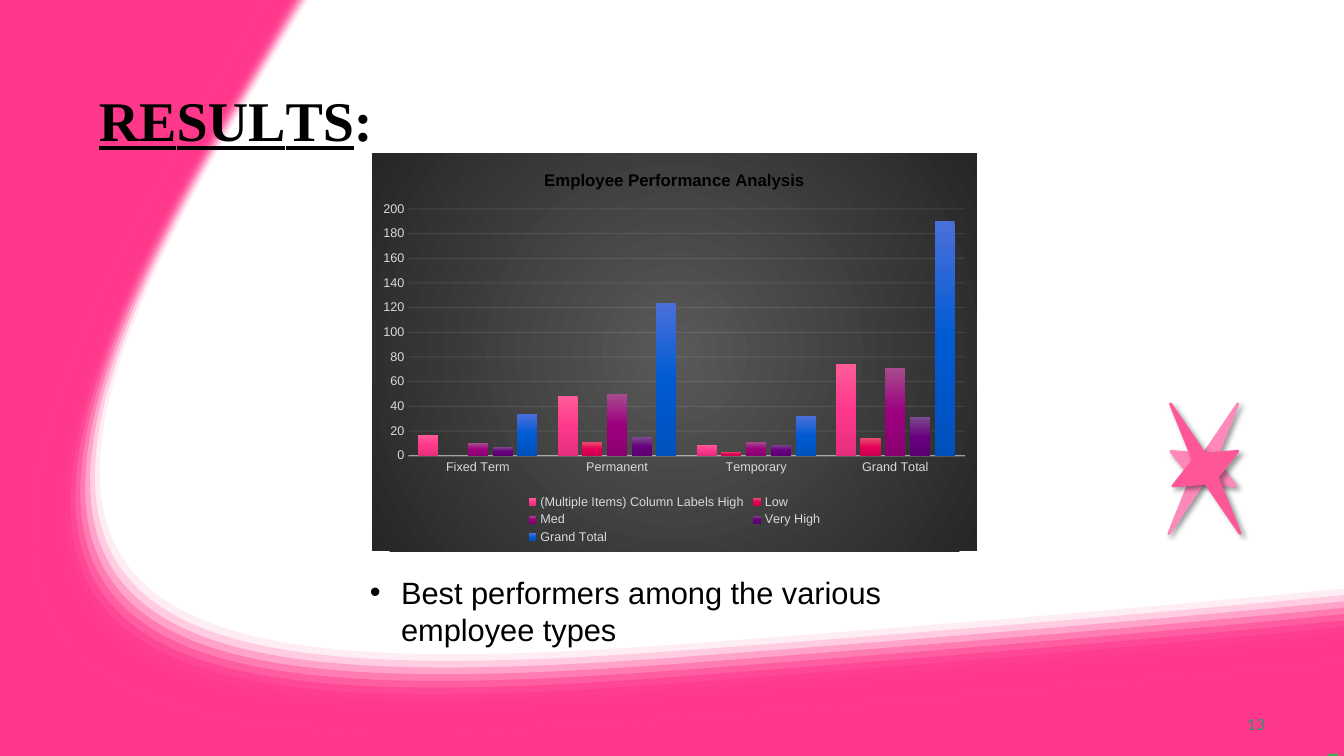
import pptx
import pptx.chart.data
import pptx.dml.color
import pptx.enum.chart
import pptx.enum.shapes
import pptx.enum.text
import pptx.oxml
import pptx.oxml.ns
import pptx.util

Inches, Pt = pptx.util.Inches, pptx.util.Pt
RGBColor = pptx.dml.color.RGBColor
qn = pptx.oxml.ns.qn

PINK = RGBColor(0xFF, 0x38, 0x8C)
ROSE = RGBColor(0xFF, 0x88, 0xBA)
CORAL = RGBColor(0xFF, 0x56, 0x98)
BLACK = RGBColor(0, 0, 0)
PALE = RGBColor(0xD9, 0xD9, 0xD9)
GRID = RGBColor(0xF2, 0xF2, 0xF2)
GREEN = RGBColor(0x2D, 0x93, 0x6B)
LEAF = RGBColor(0x42, 0xAF, 0x51)
PANEL = (RGBColor(0x59, 0x59, 0x59), RGBColor(0x26, 0x26, 0x26))
LINEAR = '<a:lin ang="5400000" scaled="0"/>'
RADIAL = '<a:path path="circle"><a:fillToRect l="0" t="0" r="0" b="0"/></a:path>'

TYPES = ["Fixed Term", "Permanent", "Temporary", "Grand Total"]
SERIES = [
    ("(Multiple Items) Column Labels High", (17, 48, 9, 74), ("FF5C99", "FF388C", "E52F7C")),
    ("Low", (None, 11, 3, 14), ("EA4B6F", "E40059", "CB004F")),
    ("Med", (10, 50, 11, 71), ("A74B8D", "9C007F", "8B0071")),
    ("Very High", (7, 15, 9, 31), ("7A4B8D", "68007F", "5C0071")),
    ("Grand Total", (34, 124, 32, 190), ("4B70DA", "005BD3", "0051BC")),
]

# Each curve is a start point followed by groups of three Bezier points.
INNER = [(2.65, 0), (2.65, 0), (2.4, 0.41), (1.96, 1.15),
         (-1.62, 7.12), (1.06, 7.55), (6.55, 7.14),
         (10.75, 6.82), (13.33, 6.56), (13.33, 6.56)]
WIDE = [(13.33, 5.84), (13.31, 5.84), (10.85, 6.09), (6.9, 6.38),
        (1.61, 6.78), (-0.73, 6.32), (2.4, 1.09),
        (2.81, 0.4), (3.05, 0.01), (3.06, 0)]
NARROW = [(13.33, 6.47), (12.99, 6.51), (10.48, 6.75), (6.64, 7.04),
          (1.22, 7.45), (-1.42, 7.03), (2.11, 1.14),
          (2.48, 0.52), (2.71, 0.11), (2.77, 0)]
BANDS = 11


def make(xml):
    """Parse XML that uses the drawing and chart prefixes."""
    return pptx.oxml.parse_xml(xml.replace(">", " " + pptx.oxml.ns.nsdecls("a", "c") + ">", 1))


def write(para, text, size, font, color, bold=False, under=False, space=0):
    run = para.add_run()
    run.text = text
    run.font.size, run.font.name = Pt(size), font
    run.font.bold, run.font.underline = bold, under
    run.font.color.rgb = color
    if space:
        run.font._element.set("spc", str(round(space * 100)))


def fade(item, color, alpha):
    """Give a fill a colour with an opacity from 0 to 1."""
    item.solid()
    item.fore_color.rgb = color
    if alpha < 1:
        node = item._xPr.find(qn("a:solidFill"))[0]
        node.append(make(f'<a:alpha val="{round(alpha * 100000)}"></a:alpha>'))


def blend(colors, course):
    last = len(colors) - 1
    stops = "".join(f'<a:gs pos="{100000 * i // last}"><a:srgbClr val="{color}"/></a:gs>'
                    for i, color in enumerate(colors))
    return make(f'<a:gradFill rotWithShape="1"><a:gsLst>{stops}</a:gsLst>{course}</a:gradFill>')


def step(kind, points):
    dots = "".join(f'<a:pt x="{Inches(x)}" y="{Inches(y)}"/>' for x, y in points)
    return make(f"<a:{kind}>{dots}</a:{kind}>")


def patch(slide, width, height, curves, alpha=1):
    """Fill the outline that joins the Bezier curves with straight lines."""
    w, h = Inches(width), Inches(height)
    form = slide.shapes.build_freeform(0, 0, scale=1)
    form.add_line_segments([(w, 0), (w, h), (0, h)], close=True)
    shape = form.convert_to_shape()
    route = next(shape._element.iter(qn("a:path")))
    for node in list(route):
        route.remove(node)
    for i, curve in enumerate(curves):
        route.append(step("lnTo" if i else "moveTo", curve[:1]))
        for n in range(1, len(curve), 3):
            route.append(step("cubicBezTo", curve[n:n + 3]))
    route.append(make("<a:close></a:close>"))
    shape.shadow.inherit = False
    fade(shape.fill, PINK, alpha)
    shape.line.fill.background()


def swoosh(slide, width, height):
    patch(slide, width, height, [INNER, [(width, height)], [(0, height)], [(0, 0)]])
    for i in range(BANDS):
        t = i / (BANDS - 1)
        outer = [(a + (c - a) * t, b + (d - b) * t)
                 for (a, b), (c, d) in zip(WIDE, NARROW)]
        patch(slide, width, height, [outer, INNER], (i + 1) / BANDS)


def block(slide, kind, x, y, w, h, color):
    shape = slide.shapes.add_shape(kind, Inches(x), Inches(y), Inches(w), Inches(h))
    shape.shadow.inherit = False
    fade(shape.fill, color, 1)
    shape.line.fill.background()
    return shape


def stars(slide, x, y, w, h):
    for shift, turn, color in ((0, 28, ROSE), (0.02, 331.8, CORAL)):
        star = block(slide, pptx.enum.shapes.MSO_SHAPE.STAR_4_POINT, x + shift, y, w, h, color)
        star.adjustments[0] = 0.125
        star.rotation = turn
        star.line.color.rgb, star.line.width = color, Pt(2)
        star._element.spPr.find(qn("a:effectLst")).append(make(
            f'<a:outerShdw blurRad="{Pt(4)}" dist="{Pt(3)}" dir="2700000" rotWithShape="0">'
            '<a:srgbClr val="000000"><a:alpha val="40000"/></a:srgbClr></a:outerShdw>'))


def frame(shape, x, y, w, h, inset=None):
    """Place a text shape and return its first paragraph."""
    shape.left, shape.top, shape.width, shape.height = map(Inches, (x, y, w, h))
    body = shape.text_frame
    body.word_wrap = True
    body.auto_size = pptx.enum.text.MSO_AUTO_SIZE.NONE
    if inset is not None:
        body.margin_left = body.margin_right = body.margin_bottom = 0
        body.margin_top = Inches(inset)
    para = body.paragraphs[0]
    para.alignment = pptx.enum.text.PP_ALIGN.LEFT
    return para


def title(slide, *box):
    shape = slide.shapes.title
    shape._element.getparent().append(shape._element)
    para = frame(shape, *box, inset=0.01)
    shape.text_frame.vertical_anchor = pptx.enum.text.MSO_ANCHOR.MIDDLE
    para.space_before = Pt(1.1)
    para._p.get_or_add_pPr().set("marL", str(Inches(0.01)))
    for text, space in (("R", 0), ("E", -0.4), ("S", 0.1), ("U", -0.3),
                        ("L", -4), ("TS", 0), (":", 0)):
        write(para, text, 40, "Times New Roman", BLACK, bold=True, under=text != ":", space=space)


def number(slide, *box):
    para = frame(slide.shapes.add_textbox(0, 0, 0, 0), *box, inset=0.01)
    para.space_before = Pt(0.6)
    para._p.get_or_add_pPr().set("marL", str(Inches(0.04)))
    write(para, "13", 11, "Lato", GREEN, space=0.1)


def bullet(slide, *box):
    para = frame(slide.shapes.add_textbox(0, 0, 0, 0), *box)
    props = para._p.get_or_add_pPr()
    props.set("marL", str(Inches(0.31)))
    props.set("indent", str(Inches(-0.31)))
    props.append(make('<a:buFont typeface="Arial"></a:buFont>'))
    props.append(make('<a:buChar char="•"></a:buChar>'))
    write(para, "Best performers among the various employee types", 22, "Arial", BLACK)


def layout(node, index, inner, **box):
    """Fix a chart part at fractions of the chart's size."""
    for old in node.findall(qn("c:layout")):
        node.remove(old)
    target = '<c:layoutTarget val="inner"/>' if inner else ""
    sizes = "".join(f'<c:{key} val="{val}"/>' for key, val in box.items())
    node.insert(index, make(
        f'<c:layout><c:manualLayout>{target}<c:xMode val="edge"/><c:yMode val="edge"/>'
        f'{sizes}</c:manualLayout></c:layout>'))


def style(font, size, color):
    font.size, font.name, font.color.rgb = Pt(size), "Arial", color


def graph(slide, *box):
    data = pptx.chart.data.CategoryChartData()
    data.categories = TYPES
    for name, values, _ in SERIES:
        data.add_series(name, values)
    chart = slide.shapes.add_chart(pptx.enum.chart.XL_CHART_TYPE.COLUMN_CLUSTERED,
                                   *map(Inches, box), data).chart
    style(chart.font, 10, BLACK)
    panel = make('<c:spPr><a:ln><a:noFill/></a:ln></c:spPr>')
    panel.insert(0, blend(PANEL, RADIAL))
    chart._chartSpace.chart.addnext(panel)
    chart.has_title = True
    para = chart.chart_title.text_frame.paragraphs[0]
    write(para, "Employee Performance Analysis", 12, "Arial", BLACK, bold=True)
    chart.has_legend = True
    chart.legend.position = pptx.enum.chart.XL_LEGEND_POSITION.BOTTOM
    chart.legend.include_in_layout = False
    style(chart.legend.font, 9, PALE)
    plot = chart.plots[0]
    plot.gap_width, plot.overlap, plot.vary_by_categories = 100, -23, False
    for series, (_, _, colors) in zip(plot.series, SERIES):
        series._element.get_or_add_spPr().insert(0, blend(colors, LINEAR))
    across, up = chart.category_axis, chart.value_axis
    for axis in (across, up):
        axis.major_tick_mark = axis.minor_tick_mark = pptx.enum.chart.XL_TICK_MARK.NONE
        style(axis.tick_labels.font, 9, PALE)
    up.minimum_scale, up.maximum_scale, up.major_unit = 0, 200, 20
    up.has_major_gridlines = True
    up.format.line.fill.background()
    for line, width, alpha in ((across.format.line, 1, 0.54),
                               (up.major_gridlines.format.line, 0.75, 0.1)):
        line.width = Pt(width)
        fade(line.fill, GRID, alpha)
    layout(plot._element.getparent(), 0, True, x=0.06, y=0.14, w=0.92, h=0.62)
    layout(chart.legend._element, 1, False, x=0.25, y=0.85, w=0.5, h=0.14)


def main():
    deck = pptx.Presentation()
    deck.slide_width, deck.slide_height = Inches(13.33), Inches(7.5)
    slide = deck.slides.add_slide(deck.slide_layouts[5])
    swoosh(slide, 13.33, 7.5)
    block(slide, pptx.enum.shapes.MSO_SHAPE.RECTANGLE, 13.17, 7.48, 0.1, 0.02, LEAF)
    title(slide, 0.97, 0.84, 3.61, 0.68)
    number(slide, 12.33, 7.08, 0.25, 0.19)
    stars(slide, 11.57, 3.92, 0.73, 1.46)
    graph(slide, 3.69, 1.52, 6, 3.95)
    bullet(slide, 3.57, 5.64, 6.24, 0.83)
    deck.save("out.pptx")


if __name__ == "__main__":
    main()
